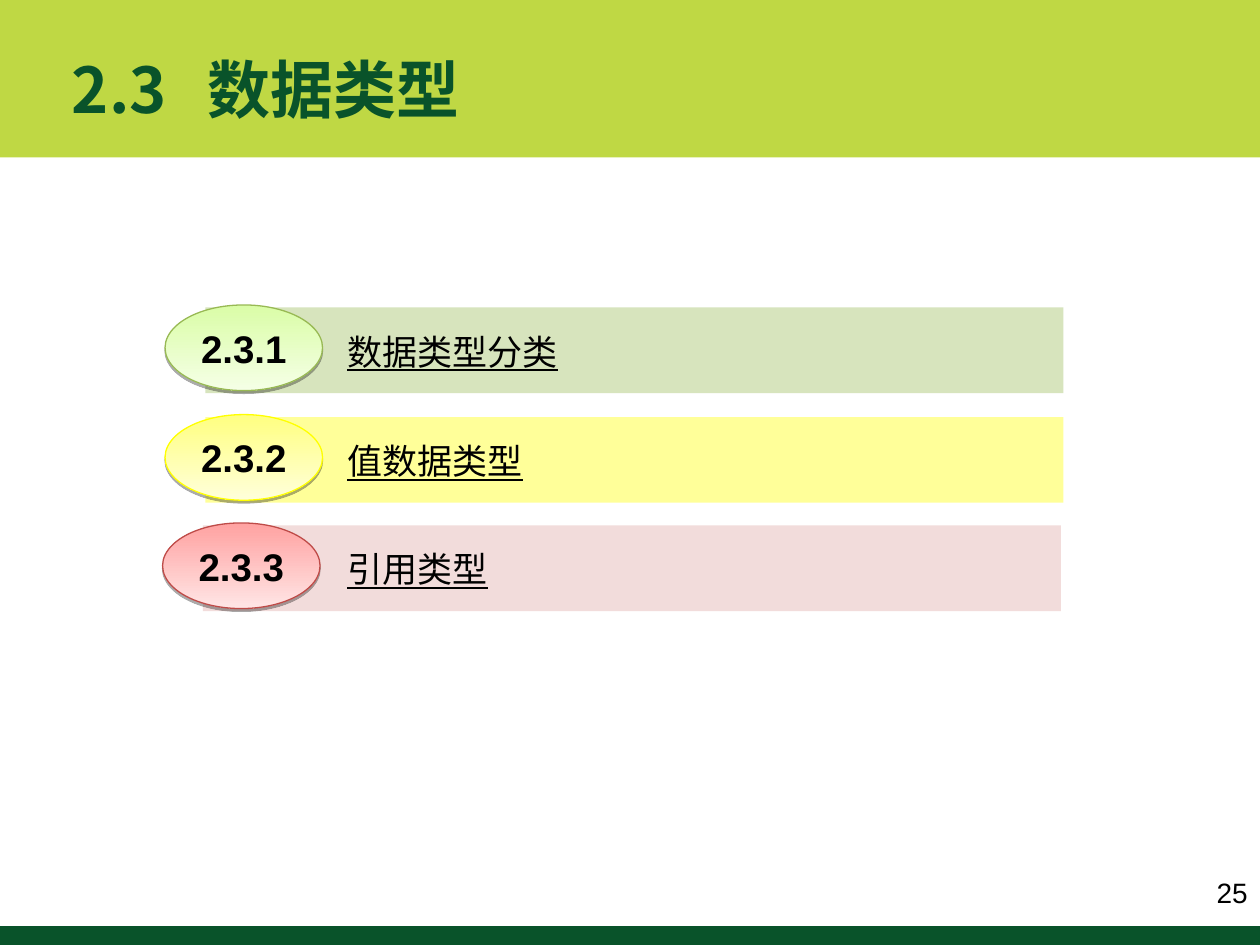
"""Build the section overview slide for 2.3 数据类型."""
from dataclasses import dataclass

from lxml.etree import SubElement
from pptx import Presentation
from pptx.dml.color import RGBColor
from pptx.enum.shapes import MSO_SHAPE
from pptx.enum.text import MSO_ANCHOR, MSO_AUTO_SIZE, PP_ALIGN
from pptx.oxml.ns import qn
from pptx.util import Inches, Pt

LATIN = "Arial"
CJK = "Noto Sans CJK SC"
DARK_GREEN = "09532A"
LIME = "BFD844"
BLACK = "000000"


@dataclass(frozen=True)
class Topic:
    number: str
    label: str
    left: float
    top: float
    bar_color: str
    gradient: tuple[str, str]
    outline: str


TOPICS = (
    Topic("2.3.1", "数据类型分类", 1.63, 2.44, "D7E4BD", ("DAFDA7", "F5FFE6"), "98B954"),
    Topic("2.3.2", "值数据类型", 1.63, 3.31, "FFFF99", ("FFFF80", "FFFFDA"), "FFFF00"),
    Topic("2.3.3", "引用类型", 1.61, 4.17, "F2DCDB", ("FFA2A1", "FFE5E5"), "BE4B48"),
)


def rgb(value: str) -> RGBColor:
    return RGBColor.from_string(value)


def add_run(paragraph, text: str, size: float, font: str, color: str = BLACK,
            bold: bool = False, underline: bool = False) -> None:
    run = paragraph.add_run()
    run.text = text
    run.font.size = Pt(size)
    run.font.bold = bold
    run.font.underline = underline
    run.font.color.rgb = rgb(color)
    run.font.name = font
    SubElement(run.font._element, qn("a:ea"), typeface=font)


def add_rect(shapes, left: float, top: float, width: float, height: float, color: str) -> None:
    rect = shapes.add_shape(MSO_SHAPE.RECTANGLE, Inches(left), Inches(top),
                            Inches(width), Inches(height))
    rect.shadow.inherit = False
    rect.fill.solid()
    rect.fill.fore_color.rgb = rgb(color)
    rect.line.fill.background()


def add_label(shapes, left: float, top: float, width: float, height: float):
    label = shapes.add_textbox(Inches(left), Inches(top), Inches(width), Inches(height))
    label.text_frame.word_wrap = True
    label.text_frame.auto_size = MSO_AUTO_SIZE.SHAPE_TO_FIT_TEXT
    return label.text_frame.paragraphs[0]


def add_drop_shadow(shape) -> None:
    shape.shadow.inherit = False
    effects = shape._element.spPr.find(qn("a:effectLst"))
    shadow = SubElement(effects, qn("a:outerShdw"), blurRad="0", dist=str(Pt(1.6)),
                        dir="5400000", rotWithShape="0")
    color = SubElement(shadow, qn("a:srgbClr"), val=BLACK)
    SubElement(color, qn("a:alpha"), val="33000")


def add_badge(shapes, topic: Topic) -> None:
    badge = shapes.add_shape(MSO_SHAPE.OVAL, Inches(topic.left - 0.32),
                             Inches(topic.top - 0.02), Inches(1.25), Inches(0.68))
    badge.fill.gradient()
    badge.fill.gradient_angle = 270
    for stop, position, color in zip(badge.fill.gradient_stops, (0, 1), topic.gradient):
        stop.position = position
        stop.color.rgb = rgb(color)
    badge.line.color.rgb = rgb(topic.outline)
    badge.line.width = Pt(0.75)
    add_drop_shadow(badge)
    frame = badge.text_frame
    frame.word_wrap = False
    frame.vertical_anchor = MSO_ANCHOR.MIDDLE
    paragraph = frame.paragraphs[0]
    paragraph.alignment = PP_ALIGN.CENTER
    add_run(paragraph, topic.number, 22, LATIN, bold=True)


def add_topic(shapes, topic: Topic) -> None:
    group = shapes.add_group_shape()
    add_rect(group.shapes, topic.left, topic.top, 6.81, 0.68, topic.bar_color)
    add_badge(group.shapes, topic)
    add_run(add_label(shapes, 2.66, topic.top + 0.13, 3.44, 0.44),
            topic.label, 20, CJK, underline=True)


def format_title(title, number: str, name: str) -> None:
    title.left, title.top = Inches(0.47), Inches(0.23)
    title.width, title.height = Inches(6.8), Inches(0.95)
    frame = title.text_frame
    frame.auto_size = MSO_AUTO_SIZE.NONE
    frame.vertical_anchor = MSO_ANCHOR.MIDDLE
    paragraph = frame.paragraphs[0]
    paragraph.alignment = PP_ALIGN.LEFT
    tabs = SubElement(paragraph._p.get_or_add_pPr(), qn("a:tabLst"))
    SubElement(tabs, qn("a:tab"), pos=str(Inches(1.08)), algn="l")
    add_run(paragraph, f"{number}\t{name}", 36, CJK, DARK_GREEN, bold=True)


def main() -> None:
    deck = Presentation()
    deck.slide_width, deck.slide_height = Inches(10), Inches(7.5)
    slide = deck.slides.add_slide(deck.slide_layouts[5])
    shapes = slide.shapes
    title = shapes.title
    add_rect(shapes, 0, 0, 10, 1.25, LIME)
    add_rect(shapes, 0, 7.35, 10, 0.15, DARK_GREEN)
    shapes._spTree.append(title._element)
    format_title(title, "2.3", "数据类型")
    for topic in TOPICS:
        add_topic(shapes, topic)
    page_number = add_label(shapes, 9.25, 6.9, 0.75, 0.37)
    page_number.alignment = PP_ALIGN.RIGHT
    add_run(page_number, "25", 16, LATIN)
    deck.save("out.pptx")


if __name__ == "__main__":
    main()
